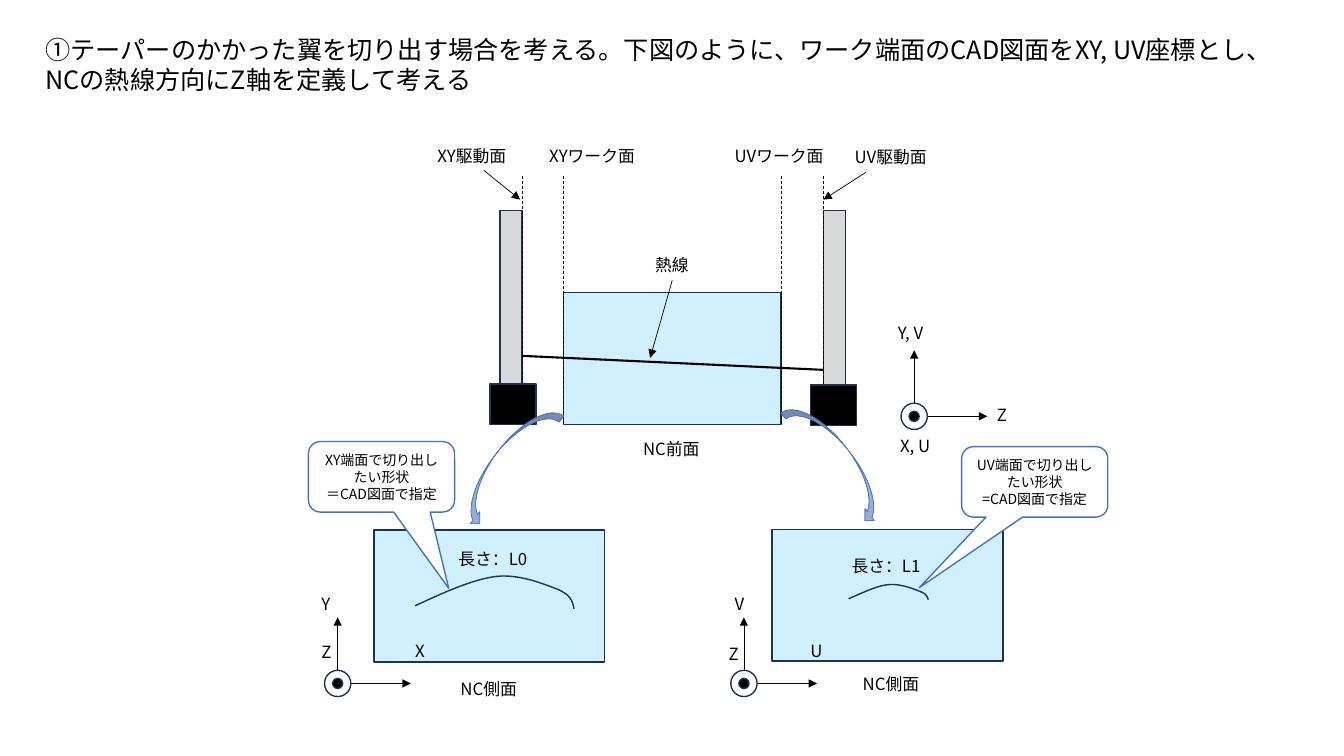
from lxml import etree
from pptx import Presentation
from pptx import util as u
from pptx.dml import color
from pptx.enum import dml, shapes, text
from pptx.oxml import ns

Pt = u.Pt
KIND = shapes.MSO_SHAPE
FONT = "Noto Sans CJK JP"
COLORS = {
    "black": "000000", "white": "FFFFFF", "post": "D9D9D9", "foam": "66CCFF",
    "outline": "1E3256", "accent": "4472C4", "arrow_light": "A8B7DF", "arrow_dark": "889ED7",
}
LABELS = [
    ("XYワーク面", 385.2, 100.8, 82), ("UVワーク面", 517.7, 100.8, 79.9),
    ("UV駆動面", 603.4, 101.5, 67.7), ("XY駆動面", 305.3, 100.8, 68),
    ("熱線", 460.8, 178.6, 40), ("NC前面", 452.2, 309.6, 56.2),
    ("NC側面", 321.8, 481, 56.2), ("NC側面", 609.1, 477.4, 56.2),
    ("Y, V", 634.3, 226.8, 40), ("Z", 704.9, 285.8, 24), ("X, U", 635.8, 307.4, 40),
    ("Y", 222.5, 420.5, 24), ("Z", 222.5, 455, 24), ("X", 289.4, 454.3, 24),
    ("V", 517.7, 420.5, 24), ("Z", 513.4, 456.5, 24), ("U", 571.7, 454.3, 24),
    ("長さ：L0", 320.4, 388.1, 64.8), ("長さ：L1", 601.2, 393.1, 64.8),
]
POINTERS = [
    ((618.5, 123.1), (588.2, 142.6)),
    ((345.6, 121.7), (371.5, 142.6)),
    ((480.2, 200.2), (464.4, 255.6)),
]
AIRFOIL_XY = [(296.6, 432.7), (316.8, 423.4), (337, 414), (354.2, 411.8), (370.8, 409.7),
              (389.5, 417.6), (398.9, 421.2), (408.2, 425.5), (409, 429.8), (410, 434.9)]
AIRFOIL_UV = [(606.2, 427.7), (616.3, 423.4), (626.4, 418.3), (635, 417.6), (643, 416.9),
              (652.3, 420.5), (657.4, 422.6), (661.7, 424.1), (662.4, 426.2), (663.1, 428.4)]


def rgb(name):
    return color.RGBColor.from_string(COLORS[name])


def set_format(target, values):
    for name, value in values.items():
        setattr(target, name, value)


def set_line(line, name, width):
    line.color.rgb = rgb(name)
    line.width = Pt(width)


def write(frame, lines, size, **formats):
    set_format(frame, {"word_wrap": True, "auto_size": text.MSO_AUTO_SIZE.NONE})
    for index, words in enumerate(lines):
        paragraph = frame.paragraphs[0] if index == 0 else frame.add_paragraph()
        set_format(paragraph, formats)
        run = paragraph.add_run()
        run.text = words
        set_format(run.font, {"size": Pt(size), "name": FONT, "bold": False})
        run.font.color.rgb = rgb("black")
        latin = run._r.get_or_add_rPr().find(ns.qn("a:latin"))
        east_asian = etree.Element(ns.qn("a:ea"), typeface=FONT)
        latin.addnext(east_asian)


def add_title(slide, lines):
    title = slide.shapes.title
    set_format(title, {"left": Pt(25.2), "top": Pt(20.9), "width": Pt(910), "height": Pt(51.1)})
    title.text_frame.vertical_anchor = text.MSO_ANCHOR.TOP
    write(title.text_frame, lines, 18, alignment=text.PP_ALIGN.LEFT)


def add_label(slide, words, left, top, width):
    box = slide.shapes.add_textbox(Pt(left), Pt(top), Pt(width), Pt(21.6))
    write(box.text_frame, [words], 12)


def add_block(slide, kind, left, top, width, height, fill, line="outline", weight=1, alpha=None):
    shape = slide.shapes.add_shape(kind, Pt(left), Pt(top), Pt(width), Pt(height))
    shape.shadow.inherit = False
    shape.fill.solid()
    shape.fill.fore_color.rgb = rgb(fill)
    set_line(shape.line, line, weight)
    if alpha:
        tint = shape._element.spPr.find(ns.qn("a:solidFill"))[0]
        etree.SubElement(tint, ns.qn("a:alpha"), val=str(alpha * 1000))
    return shape


def add_line(slide, start, end, weight=0.5, dashed=False, arrow=False):
    line = slide.shapes.add_connector(
        shapes.MSO_CONNECTOR.STRAIGHT, *(Pt(value) for value in (*start, *end)))
    set_line(line.line, "black", weight)
    if dashed:
        line.line.dash_style = dml.MSO_LINE.DASH
    if arrow:
        etree.SubElement(line.line._get_or_add_ln(), ns.qn("a:tailEnd"), type="triangle")
    etree.SubElement(line._element.spPr, ns.qn("a:effectLst"))


def bezier(points, t):
    weights = ((1 - t) ** 3, 3 * t * (1 - t) ** 2, 3 * t * t * (1 - t), t ** 3)
    return tuple(Pt(sum(w * point[axis] for w, point in zip(weights, points)))
                 for axis in (0, 1))


def add_curve(slide, points, steps=12):
    vertices = [bezier(points[first:first + 4], step / steps)
                for first in range(0, len(points) - 1, 3) for step in range(1, steps + 1)]
    builder = slide.shapes.build_freeform(Pt(points[0][0]), Pt(points[0][1]))
    builder.add_line_segments(vertices, close=False)
    curve = builder.convert_to_shape()
    curve.shadow.inherit = False
    curve.fill.background()
    set_line(curve.line, "outline", 1)


def add_axes(slide, x, y):
    add_line(slide, (x, y), (x + 52.2, y), arrow=True)
    add_line(slide, (x, y), (x, y - 47.2), arrow=True)
    for radius, fill in ((9.4, "white"), (3.6, "black")):
        add_block(slide, KIND.OVAL, x - radius, y - radius, 2 * radius, 2 * radius, fill)


def add_curved_arrow(slide, left, top, rotation, flipped):
    arrow = add_block(slide, KIND.CURVED_UP_ARROW, left, top, 103, 21.6,
                      "arrow_light", "accent", 0.5)
    arrow.fill.gradient()
    arrow.fill.gradient_angle = 270
    for stop, name in zip(arrow.fill.gradient_stops, ("arrow_light", "arrow_dark")):
        stop.color.rgb = rgb(name)
    arrow.rotation = rotation
    if flipped:
        arrow._element.spPr.find(ns.qn("a:xfrm")).set("flipH", "1")


def add_callout(slide, left, top, tip, lines):
    callout = add_block(slide, KIND.ROUNDED_RECTANGULAR_CALLOUT, left, top, 104.4, 50.4,
                        "white", "accent")
    for index, value in enumerate((*tip, 0.17)):
        callout.adjustments[index] = value
    callout.text_frame.vertical_anchor = text.MSO_ANCHOR.MIDDLE
    write(callout.text_frame, lines, 10, alignment=text.PP_ALIGN.CENTER)


def main():
    presentation = Presentation()
    set_format(presentation, {"slide_width": Pt(960), "slide_height": Pt(540)})
    slide = presentation.slides.add_slide(presentation.slide_layouts[5])
    add_title(slide, [
        "①テーパーのかかった翼を切り出す場合を考える。下図のように、ワーク端面のCAD図面をXY, UV座標とし、",
        "NCの熱線方向にZ軸を定義して考える"])
    for left in (357.1, 588.2):
        add_block(slide, KIND.RECTANGLE, left, 150.5, 15.8, 152.6, "post")
    add_block(slide, KIND.RECTANGLE, 402.5, 208.8, 155.5, 94.3, "foam", alpha=30)
    add_line(slide, (373, 254.2), (588.2, 264.2), weight=1.5)
    for x in (373, 402.5, 558, 588.2):
        add_line(slide, (x, 303.1), (x, 124.6), dashed=True)
    for start, end in POINTERS:
        add_line(slide, start, end, arrow=True)
    for left, top, airfoil in ((267.1, 378.7, AIRFOIL_XY), (551.5, 378, AIRFOIL_UV)):
        add_block(slide, KIND.RECTANGLE, left, top, 164.9, 94.3, "foam", alpha=30)
        add_curve(slide, airfoil)
    for x, y in ((653, 297.4), (241.2, 488.2), (531.4, 488.2)):
        add_axes(slide, x, y)
    for label in LABELS:
        add_label(slide, *label)
    for left, top in ((349.9, 274.3), (578.9, 275)):
        add_block(slide, KIND.RECTANGLE, left, top, 33.1, 28.8, "black")
    add_curved_arrow(slide, 311, 320.4, 127.9, False)
    add_curved_arrow(slide, 546.5, 318.2, 232.1, True)
    add_callout(slide, 220.3, 315.4, (0.46, 1.58), ["XY端面で切り出したい形状", "＝CAD図面で指定"])
    add_callout(slide, 686.9, 319, (-0.79, 1.5), ["UV端面で切り出したい形状", "=CAD図面で指定"])
    presentation.save("out.pptx")


if __name__ == "__main__":
    main()
